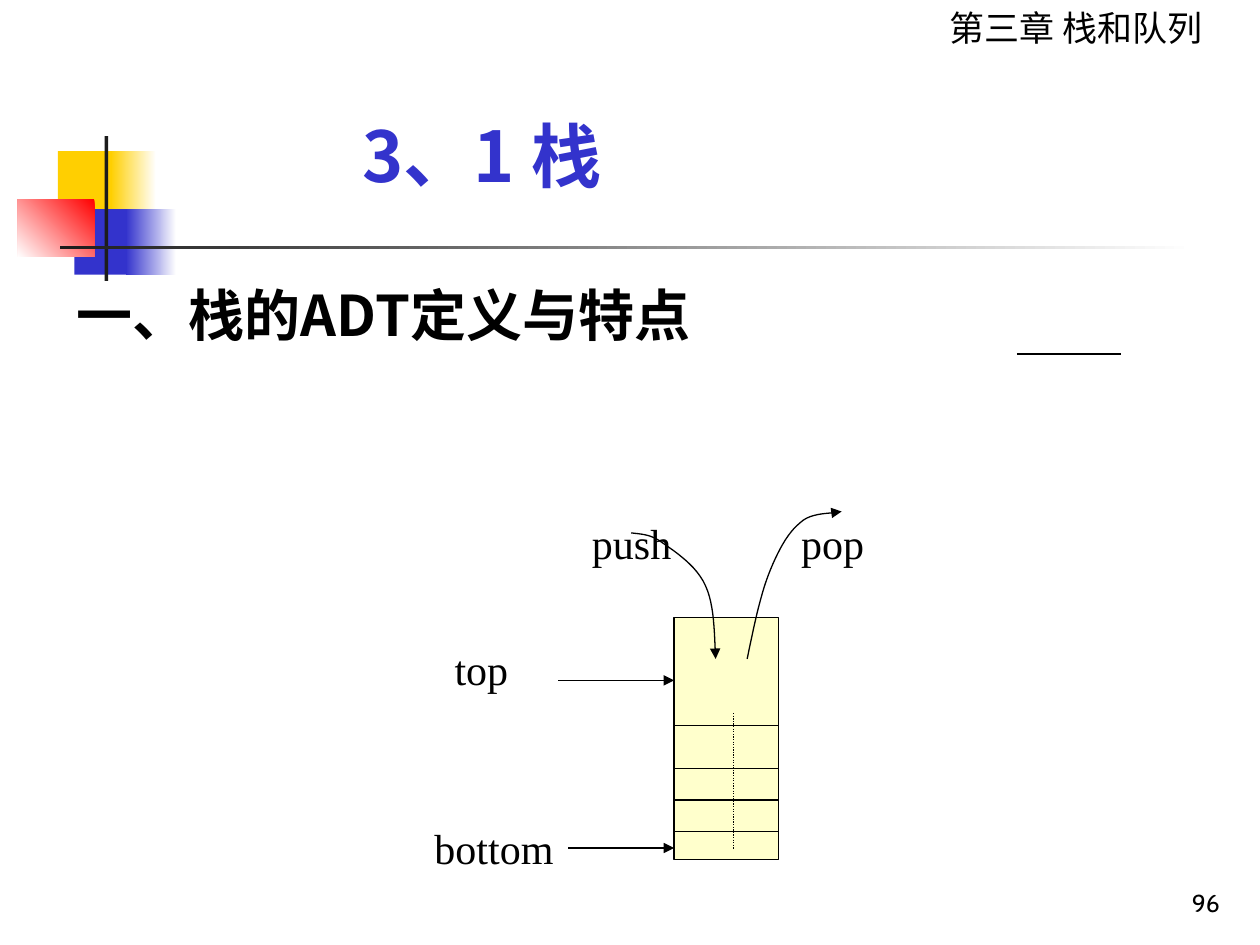
from lxml import etree
from pptx import Presentation
from pptx import util as u
from pptx.dml.color import RGBColor
from pptx.enum import dml, shapes, text
from pptx.oxml.ns import qn


def color(hex_string):
    return RGBColor.from_string(hex_string)


def style_line(sp, ends):
    sp.line.color.rgb = color("000000")
    sp.line.width = u.Pt(0.75)
    ln = sp.line._get_or_add_ln()
    for end in ends:
        etree.SubElement(ln, qn("a:" + end), type="triangle")


prs = Presentation()
prs.slide_width = u.Inches(10)
prs.slide_height = u.Inches(7.5)
s = prs.slides.add_slide(prs.slide_layouts[6])

blocks = [
    (0.46, 1.2, 0.48, 0.52, ["FFCF01"], 0),
    (0.88, 1.2, 0.36, 0.52, ["FFFFFF", "FFCF01"], 180),
    (0.59, 1.66, 0.46, 0.52, ["3333CC"], 0),
    (1, 1.66, 0.4, 0.52, ["FFFFFF", "3333CC"], 180),
    (0.14, 1.58, 0.61, 0.46, ["FF0000", "FFFFFF"], 225),
    (0.83, 1.08, 0.03, 1.15, ["1C1C1C"], 0),
    (0.48, 1.95, 9, 0.03, ["FFFFFF", "1C1C1C"], 180),
    (5.35, 4.9, 0.83, 1.92, ["FFFFCC"], 0),
]
for x, y, w, h, fills, angle in blocks:
    sp = s.shapes.add_shape(shapes.MSO_SHAPE.RECTANGLE,
                            u.Inches(x), u.Inches(y), u.Inches(w), u.Inches(h))
    sp.shadow.inherit = False
    sp.line.fill.background()
    if len(fills) == 1:
        sp.fill.solid()
        sp.fill.fore_color.rgb = color(fills[0])
    else:
        sp.fill.gradient()
        sp.fill.gradient_angle = angle
        for stop, fill in zip(sp.fill.gradient_stops, fills):
            stop.color.rgb = color(fill)
style_line(sp, [])

lines = [(8.07, 2.81, 8.9, 2.81, [])]
lines += [(5.35, y, 6.18, y, []) for y in (5.76, 6.1, 6.35, 6.6)]
lines += [
    (4.43, 5.4, 5.35, 5.4, ["tailEnd"]),
    (4.51, 6.73, 5.35, 6.73, ["tailEnd"]),
    (5.82, 5.66, 5.82, 6.74, []),
]
for x1, y1, x2, y2, ends in lines:
    cn = s.shapes.add_connector(shapes.MSO_CONNECTOR.STRAIGHT,
                                u.Inches(x1), u.Inches(y1), u.Inches(x2), u.Inches(y2))
    style_line(cn, ends)
    etree.SubElement(cn._element.spPr, qn("a:effectLst"))
cn.line.dash_style = dml.MSO_LINE.ROUND_DOT

pop_curve = [(5.93, 5.23), (5.98, 4.99), (6.03, 4.74), (6.1, 4.56), (6.17, 4.38),
             (6.25, 4.23), (6.35, 4.15), (6.44, 4.06), (6.62, 4.08), (6.68, 4.06)]
push_curve = [(5.01, 4.23), (5.09, 4.24), (5.17, 4.24), (5.26, 4.31), (5.36, 4.38),
              (5.53, 4.49), (5.6, 4.65), (5.67, 4.8), (5.67, 5.02), (5.68, 5.23)]
steps = 12
for curve in (pop_curve, push_curve):
    points = []
    for i in range(0, len(curve) - 1, 3):
        for step in range(1, steps + 1):
            t = step / steps
            weights = ((1 - t) ** 3, 3 * t * (1 - t) ** 2, 3 * t ** 2 * (1 - t), t ** 3)
            points.append([sum(k * pt[axis] for k, pt in zip(weights, curve[i:i + 4]))
                           for axis in (0, 1)])
    fb = s.shapes.build_freeform(u.Inches(curve[0][0]), u.Inches(curve[0][1]))
    fb.add_line_segments([(u.Inches(x), u.Inches(y)) for x, y in points], close=False)
    sp = fb.convert_to_shape()
    sp.shadow.inherit = False
    sp.fill.background()
    style_line(sp, ["tailEnd"])

left, center, right = text.PP_ALIGN.LEFT, text.PP_ALIGN.CENTER, text.PP_ALIGN.RIGHT
sans, serif = "Noto Sans CJK SC", "Times New Roman"
labels = [
    ("第三章 栈和队列", 7.08, 0, 2.92, 0.44, 20, sans, "000000", False, center),
    ("3、1 栈", 1.46, 0.84, 4.73, 0.77, 40, sans, "3333CC", True, center),
    ("一、栈的ADT定义与特点", 0.51, 2.18, 8.67, 0.64, 32, sans, "000000", True, left),
    ("top", 3.51, 5.06, 1, 0.5, 24, serif, "000000", False, left),
    ("bottom", 3.35, 6.48, 1.33, 0.5, 24, serif, "000000", False, left),
    ("push", 4.6, 4.06, 1, 0.5, 24, serif, "000000", False, left),
    ("pop", 6.26, 4.06, 1, 0.5, 24, serif, "000000", False, left),
    ("96", 7.7, 6.83, 2.08, 0.5, 14, "Cabin", "000000", False, right),
]
for words, x, y, w, h, size, face, ink, bold, align in labels:
    tb = s.shapes.add_textbox(u.Inches(x), u.Inches(y), u.Inches(w), u.Inches(h))
    tf = tb.text_frame
    tf.word_wrap = True
    tf.text = words
    p = tf.paragraphs[0]
    p.alignment = align
    r = p.runs[0]
    r.font.size = u.Pt(size)
    r.font.bold = bold
    r.font.color.rgb = color(ink)
    r.font.name = face
    etree.SubElement(r.font._element, qn("a:ea"), typeface=face)
tf.vertical_anchor = text.MSO_ANCHOR.BOTTOM

prs.save("out.pptx")
